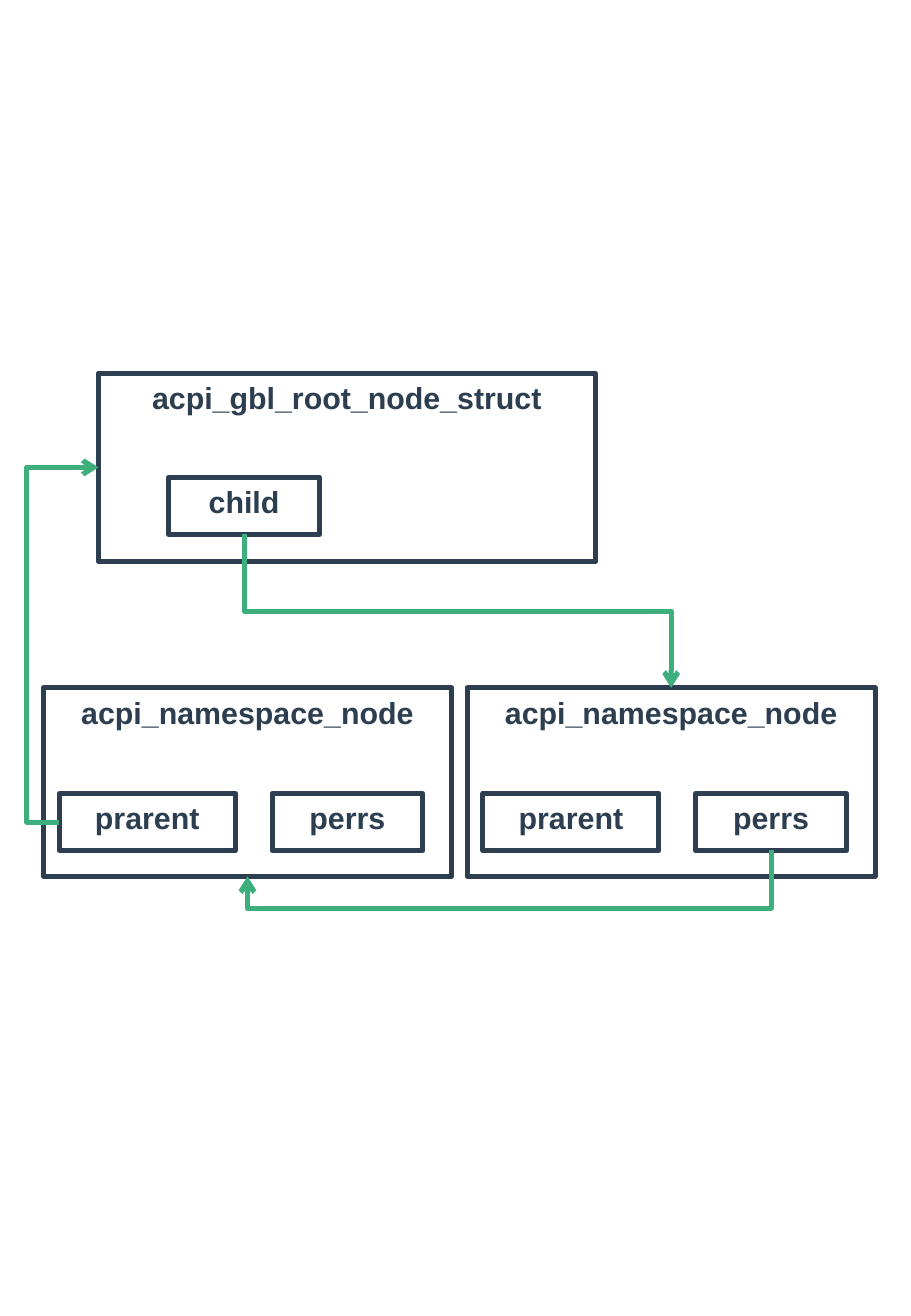
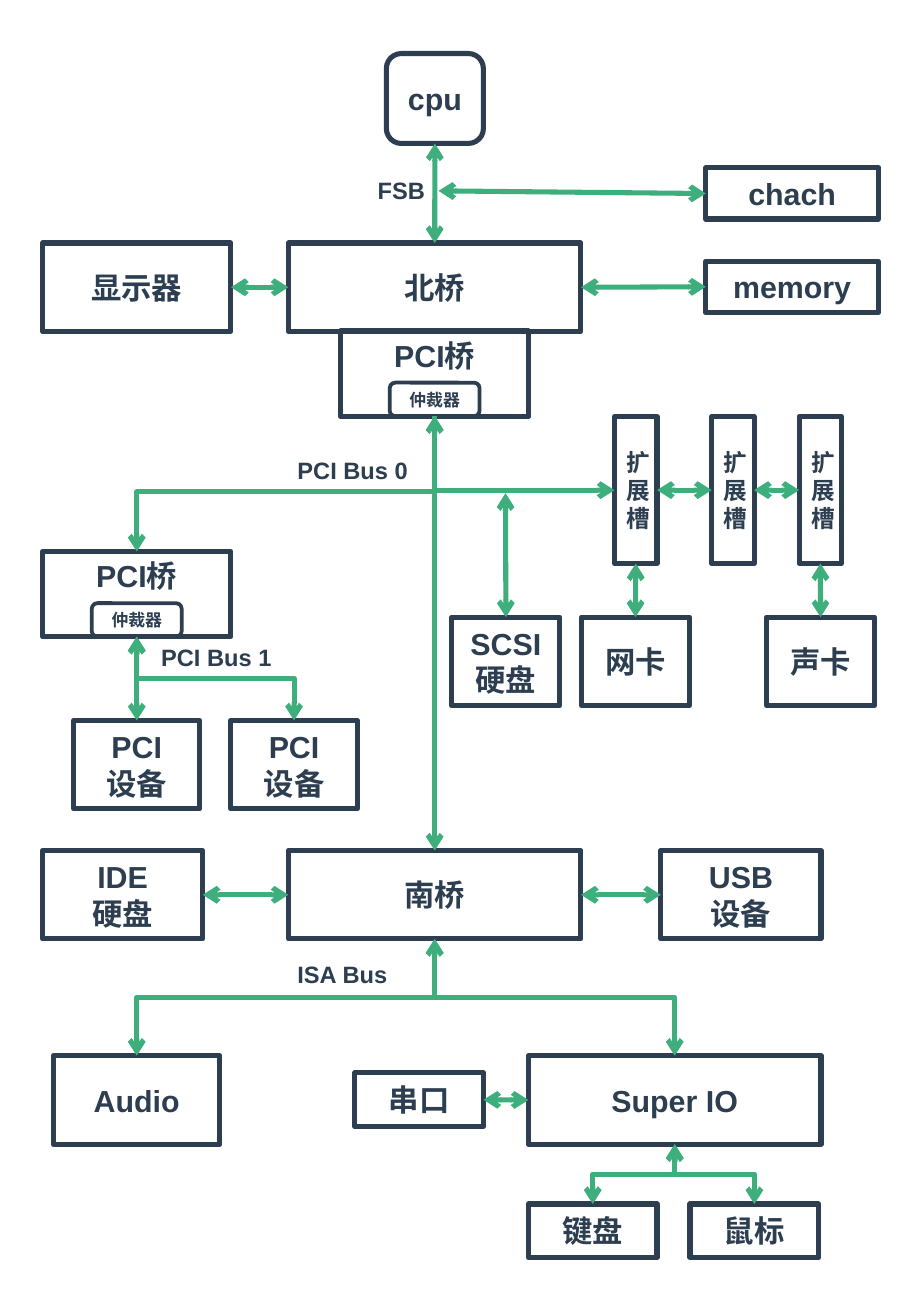
import pptx
import pptx.util
import pptx.dml.color
import pptx.enum.shapes
import pptx.enum.text
import pptx.oxml.ns
from lxml import etree

Cm = pptx.util.Cm
Pt = pptx.util.Pt
qn = pptx.oxml.ns.qn
TOP, LEFT, BOTTOM, RIGHT = range(4)


def rgb(value):
    return pptx.dml.color.RGBColor.from_string(value)


def write(tf, text, size=18, color="2C3E50", align="CENTER", anchor="MIDDLE"):
    """Fill a text frame, one paragraph per line of text."""
    tf.vertical_anchor = getattr(pptx.enum.text.MSO_ANCHOR, anchor)
    for i, line in enumerate(text.split("\n")):
        p = tf.add_paragraph() if i else tf.paragraphs[0]
        p.alignment = getattr(pptx.enum.text.PP_ALIGN, align)
        r = p.add_run()
        r.text = line
        r.font.name = "Arial"
        r.font.size = Pt(size)
        r.font.bold = True
        r.font.color.rgb = rgb(color)


class Diagram:
    INK = "2C3E50"
    GREEN = "3EAF7C"
    WEIGHT = 3

    def __init__(self, prs):
        self.prs = prs
        self.s = None

    def new_slide(self):
        self.s = self.prs.slides.add_slide(self.prs.slide_layouts[6])

    def box(self, text, x, y, w, h, rounded=False, weight=WEIGHT, parent=None, **fmt):
        kinds = pptx.enum.shapes.MSO_SHAPE
        kind = kinds.ROUNDED_RECTANGLE if rounded else kinds.RECTANGLE
        shapes = (parent or self.s).shapes
        sp = shapes.add_shape(kind, Cm(x), Cm(y), Cm(w), Cm(h))
        sp.shadow.inherit = False
        sp.fill.background()
        sp.line.color.rgb = rgb(self.INK)
        sp.line.width = Pt(weight)
        sp.text_frame.word_wrap = True
        write(sp.text_frame, text, color=self.INK, **fmt)
        return sp

    def label(self, text, x, y, w):
        tf = self.s.shapes.add_textbox(Cm(x), Cm(y), Cm(w), Cm(0.86)).text_frame
        tf.word_wrap = False
        tf.auto_size = pptx.enum.text.MSO_AUTO_SIZE.SHAPE_TO_FIT_TEXT
        write(tf, text, size=14, color=self.INK, align="LEFT", anchor="TOP")

    def bridge(self, x, y):
        """PCI bridge with its arbiter inside."""
        group = self.s.shapes.add_group_shape()
        outer = self.box("PCI桥", x, y, 3.94, 1.78, parent=group, anchor="TOP")
        self.box("仲裁器", x + 1.03, y + 1.08, 1.88, 0.7, rounded=True,
                 weight=2.25, parent=group, size=10)
        return outer

    def connect(self, kind, start, side, end, end_side, both):
        """Join two box sides; start may also be a free (x, y) point."""
        free = isinstance(start, tuple)
        x, y = start if free else (0, 0)
        c = self.s.shapes.add_connector(kind, Cm(x), Cm(y), Cm(x), Cm(y))
        if not free:
            c.begin_connect(start, side)
        c.end_connect(end, end_side)
        c.line.color.rgb = rgb(self.GREEN)
        c.line.width = Pt(self.WEIGHT)
        spPr = c._element.spPr
        ln = spPr.find(qn("a:ln"))
        for tag in ("a:headEnd", "a:tailEnd") if both else ("a:tailEnd",):
            etree.SubElement(ln, qn(tag), type="arrow")
        etree.SubElement(spPr, qn("a:effectLst"))
        return c

    def arrow(self, start, side, end, end_side):
        kind = pptx.enum.shapes.MSO_CONNECTOR.STRAIGHT
        self.connect(kind, start, side, end, end_side, both=True)

    def elbow(self, start, side, end, end_side, bend=0.5, both=True):
        """Bent arrow; bend is the turning point as a share of the way."""
        kind = pptx.enum.shapes.MSO_CONNECTOR.ELBOW
        c = self.connect(kind, start, side, end, end_side, both)
        x1, y1, x2, y2 = c.begin_x, c.begin_y, c.end_x, c.end_y
        w, h = abs(x2 - x1), abs(y2 - y1)
        spPr = c._element.spPr
        xfrm = spPr.find(qn("a:xfrm"))
        for flip in ("flipH", "flipV"):
            xfrm.attrib.pop(flip, None)
        # Leaving downwards is a quarter turn, leaving to the left a half turn
        if side == BOTTOM:
            turn, flip = 90, "flipV" if x2 > x1 else None
            w, h = h, w
        else:
            turn, flip = 180, "flipH" if x2 > x1 else None
        c.left, c.top = (x1 + x2 - w) // 2, (y1 + y2 - h) // 2
        c.width, c.height = w, h
        xfrm.set("rot", str(turn * 60000))
        if flip:
            xfrm.set(flip, "1")
        geom = spPr.find(qn("a:prstGeom"))
        if end_side in (LEFT, RIGHT) and side == BOTTOM:
            geom.set("prst", "bentConnector2")
            return
        av = geom.find(qn("a:avLst"))
        if av is None:
            av = etree.SubElement(geom, qn("a:avLst"))
        etree.SubElement(av, qn("a:gd"), name="adj1", fmla=f"val {round(bend * 100000)}")


def namespace_slide(d):
    d.new_slide()
    # Structures and their fields
    root = d.box("acpi_gbl_root_node_struct", 2.06, 7.8, 10.39, 3.94, anchor="TOP")
    child = d.box("child", 3.53, 9.98, 3.15, 1.19, anchor="TOP")
    nodes = []
    for x in (0.91, 9.77):
        nodes.append((
            d.box("acpi_namespace_node", x, 14.38, 8.53, 3.94, anchor="TOP"),
            d.box("prarent", x + 0.33, 16.59, 3.68, 1.19, anchor="TOP"),
            d.box("perrs", x + 4.78, 16.59, 3.15, 1.19, anchor="TOP")))
    (node1, parent1, _), (node2, _, peers2) = nodes
    # Pointers
    d.elbow(parent1, LEFT, root, LEFT, bend=-0.83, both=False)
    d.elbow(child, BOTTOM, node2, TOP, both=False)
    d.elbow(peers2, BOTTOM, node1, BOTTOM, bend=2.23, both=False)


def bus_slide(d):
    d.new_slide()
    tall = 1.85
    # Processor and north bridge
    cpu = d.box("cpu", 8.08, 1.12, 2.03, 1.88, rounded=True)
    north = d.box("北桥", 6.03, 5.08, 6.12, tall)
    display = d.box("显示器", 0.89, 5.08, 3.94, tall)
    cache = d.box("chach", 14.76, 3.51, 3.61, 1.07)
    memory = d.box("memory", 14.76, 5.46, 3.61, 1.07)
    d.arrow(cpu, BOTTOM, north, TOP)
    d.arrow((9.17, 3.99), None, cache, LEFT)
    d.arrow(north, RIGHT, memory, LEFT)
    d.arrow(display, RIGHT, north, LEFT)

    # PCI bus 0 with slots and cards
    bridge0 = d.bridge(7.12, 6.92)
    bridge1 = d.bridge(0.89, 11.53)
    slots = [d.box("扩展槽", x, 8.71, 0.89, 3.07, size=14) for x in (12.85, 14.88, 16.71)]
    scsi, lan, sound = [d.box(text, x, 12.9, 2.26, tall) for text, x in
                        (("SCSI\n硬盘", 9.45), ("网卡", 12.16), ("声卡", 16.03))]
    d.elbow(bridge0, BOTTOM, bridge1, TOP, bend=0.56)
    d.elbow(bridge0, BOTTOM, slots[0], LEFT, both=False)
    for a, b in zip(slots, slots[1:]):
        d.arrow(a, RIGHT, b, LEFT)
    d.arrow(slots[0], BOTTOM, lan, TOP)
    d.arrow(slots[2], BOTTOM, sound, TOP)
    d.arrow((10.57, 10.31), None, scsi, TOP)

    # PCI bus 1
    device1, device2 = [d.box("PCI\n设备", x, 15.06, 2.64, tall) for x in (1.54, 4.83)]
    d.elbow(bridge1, BOTTOM, device2, TOP)
    d.arrow(bridge1, BOTTOM, device1, TOP)

    # South bridge
    south = d.box("南桥", 6.03, 17.78, 6.12, tall)
    ide = d.box("IDE\n硬盘", 0.89, 17.78, 3.35, tall)
    usb = d.box("USB\n设备", 13.82, 17.78, 3.35, tall)
    d.arrow(bridge0, BOTTOM, south, TOP)
    d.arrow(ide, RIGHT, south, LEFT)
    d.arrow(south, RIGHT, usb, LEFT)

    # ISA bus
    audio = d.box("Audio", 1.12, 22.07, 3.48, tall)
    super_io = d.box("Super IO", 11.05, 22.07, 6.12, tall)
    serial, keyboard, mouse = [d.box(text, x, y, 2.69, 1.12) for text, x, y in
                               (("串口", 7.42, 22.43), ("键盘", 11.05, 25.17),
                                ("鼠标", 14.43, 25.17))]
    for hub, target in ((south, audio), (south, super_io),
                        (super_io, keyboard), (super_io, mouse)):
        d.elbow(hub, BOTTOM, target, TOP)
    d.arrow(serial, RIGHT, super_io, LEFT)

    # Bus names
    for text, x, y, w in (("FSB", 7.65, 3.56, 1.57), ("PCI Bus 0", 5.97, 9.4, 3.12),
                          ("PCI Bus 1", 3.12, 13.31, 3.12), ("ISA Bus", 5.97, 19.94, 2.62)):
        d.label(text, x, y, w)


def main():
    prs = pptx.Presentation()
    prs.slide_width, prs.slide_height = Cm(19.05), Cm(27.51)
    d = Diagram(prs)
    namespace_slide(d)
    bus_slide(d)
    prs.save("out.pptx")


if __name__ == "__main__":
    main()
